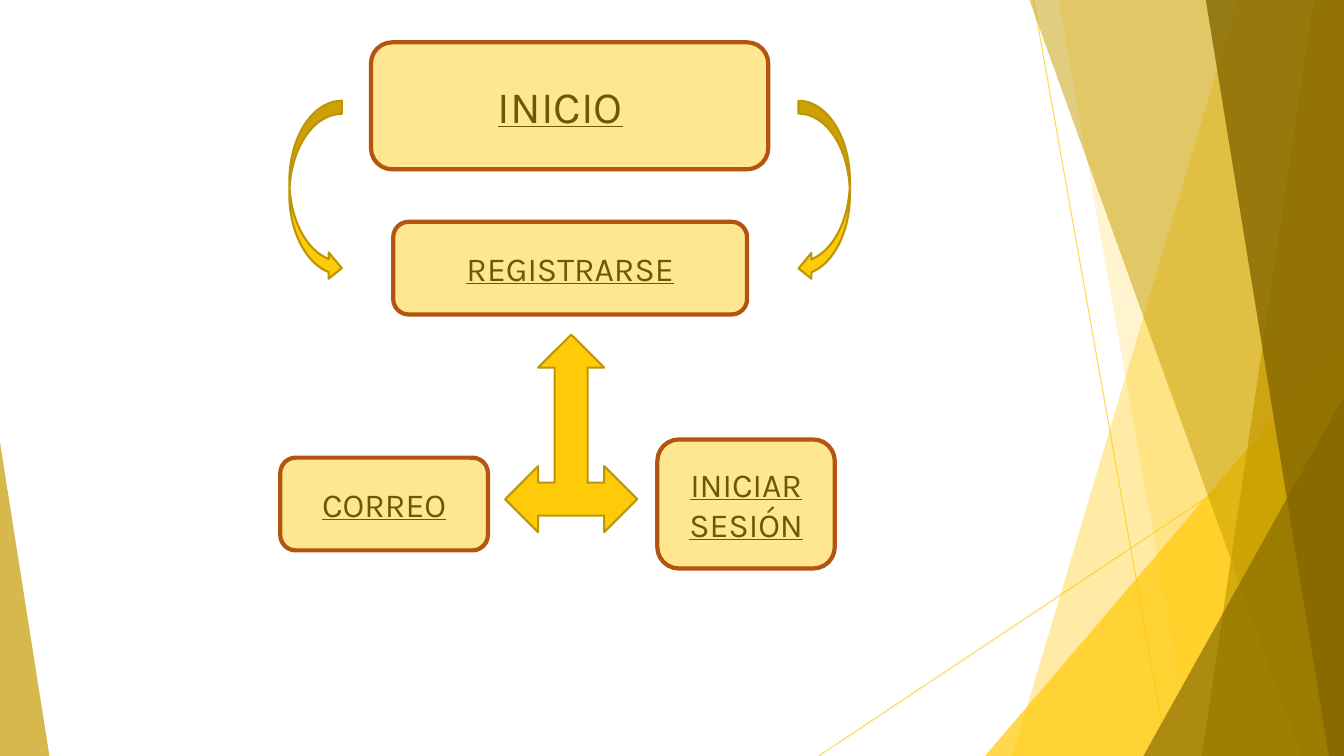
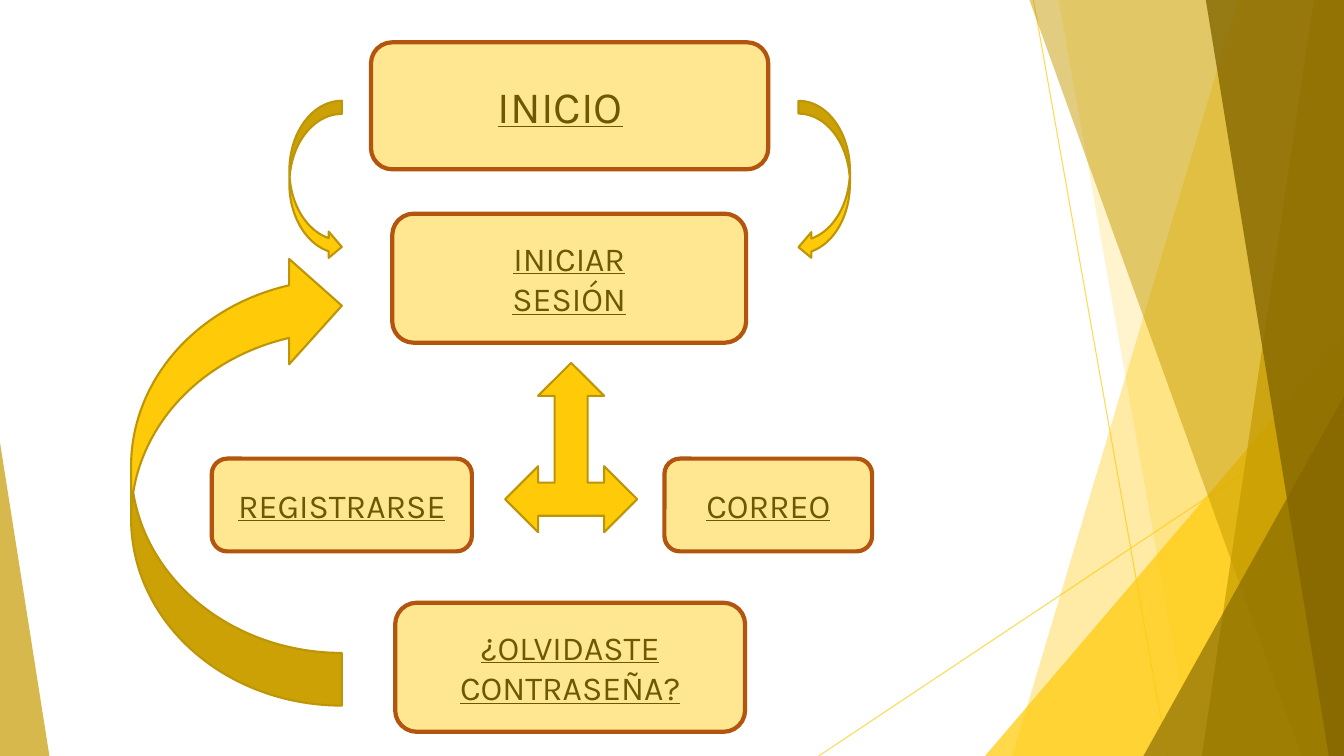
import pptx
import pptx.util
import pptx.dml.color
import pptx.enum.shapes
import pptx.enum.text
import pptx.oxml.ns
import lxml.etree

GOLD, OCHRE, BRONZE = "FFCA08", "C59B00", "846700"
RUST, ARROW_EDGE, INK = "B3540F", "BD9506", "000000"
SHAPES = pptx.enum.shapes.MSO_SHAPE
ALIGN = pptx.enum.text.PP_ALIGN
qn = pptx.oxml.ns.qn

deck = pptx.Presentation()
deck.slide_width = pptx.util.Inches(13.33)
deck.slide_height = pptx.util.Inches(7.5)
COLUMN = deck.slide_width / 133.3
ROW = deck.slide_height / 75
RIGHT, BOTTOM = 133.3, 75


def cells(*lengths):
    return [round(length * (ROW if i % 2 else COLUMN)) for i, length in enumerate(lengths)]


def paint(shape, fill=None, edge=None, width=0, opacity=100):
    properties = shape.element.spPr
    if fill:
        shape.shadow.inherit = False
        shape.fill.solid()
        shape.fill.fore_color.rgb = pptx.dml.color.RGBColor.from_string(fill)
    if edge:
        shape.line.color.rgb = pptx.dml.color.RGBColor.from_string(edge)
        shape.line.width = pptx.util.Pt(width)
    else:
        shape.line.fill.background()
    if not fill:
        lxml.etree.SubElement(properties, qn("a:effectLst"))
    if opacity < 100:
        colour = next(properties.iter(qn("a:srgbClr")))
        lxml.etree.SubElement(colour, qn("a:alpha")).set("val", str(opacity * 1000))


layout = deck.slide_layouts[6]
for placeholder in list(layout.placeholders):
    layout.shapes.element.remove(placeholder.element)
slides = [deck.slides.add_slide(layout) for _ in range(2)]
backdrop = slides[0].shapes

for ray in [(102.5, 0, 115.8, BOTTOM), (RIGHT, 40.3, 81.2, BOTTOM)]:
    beam = backdrop.add_connector(pptx.enum.shapes.MSO_CONNECTOR.STRAIGHT, *cells(*ray))
    paint(beam, edge=GOLD, width=0.75, opacity=70)

facets = [
    ("band", 122.8, 100.4, GOLD, 36),
    ("band", 105, 118.3, GOLD, 20),
    ("corner", 97.7, 33.3, GOLD, 72),
    ("band", 102.1, 129.1, OCHRE, 50),
    ("band", 130.3, 119.2, OCHRE, 70),
    ("band", 119.6, 131.8, BRONZE, 80),
    ("corner", 113.4, 39.3, BRONZE, 66),
]
for kind, first, second, colour, opacity in facets:
    if kind == "band":
        outline = backdrop.build_freeform(*cells(first, 0), scale=1.0)
        outline.add_line_segments(
            [cells(RIGHT, 0), cells(RIGHT, BOTTOM), cells(second, BOTTOM)], close=True)
        facet = outline.convert_to_shape()
    else:
        facet = backdrop.add_shape(
            SHAPES.ISOSCELES_TRIANGLE, *cells(first, second, RIGHT - first, BOTTOM - second))
        facet.adjustments[0] = 1
    paint(facet, colour, opacity=opacity)

left_wedge = backdrop.add_shape(SHAPES.ISOSCELES_TRIANGLE, *cells(0, 43.9, 4.9, 31.1))
left_wedge.adjustments[0] = 0
paint(left_wedge, OCHRE, opacity=70)

for part in list(backdrop):
    layout.shapes.element.append(part.element)

start = ("INICIO", 32, ALIGN.LEFT, 16.2, (36.8, 4.2, 39.4, 12.6))
cards = [
    [
        start,
        ("REGISTRARSE", 24, ALIGN.CENTER, 24, (39, 22, 35.1, 9.2)),
        ("CORREO", 24, ALIGN.CENTER, 16.2, (27.8, 45.4, 20.6, 9.2)),
        ("INICIAR SESIÓN", 24, ALIGN.CENTER, 16.2, (65.2, 43.6, 17.6, 12.8)),
    ],
    [
        start,
        ("INICIAR SESIÓN", 24, ALIGN.CENTER, 16.2, (38.9, 21.2, 35.1, 12.8)),
        ("REGISTRARSE", 24, ALIGN.CENTER, 24, (21, 45.5, 25.8, 9.2)),
        ("CORREO", 24, ALIGN.CENTER, 16.2, (65.9, 45.5, 20.6, 9.2)),
        ("¿OLVIDASTE CONTRASEÑA?", 24, ALIGN.CENTER, 25.6, (39.2, 59.8, 34.7, 12.8)),
    ],
]
side_heights = [17.9, 15.8]
fork_tops = [33.2, 36]
fork_bottom = 52.8

for slide, steps, side_height, fork_top in zip(slides, cards, side_heights, fork_tops):
    for wording, size, alignment, label_width, (left, top, width, height) in steps:
        label = slide.shapes.add_textbox(
            *cells(left + (width - label_width) / 2, top, label_width, height))
        frame = label.text_frame
        frame.word_wrap = True
        frame.vertical_anchor = pptx.enum.text.MSO_ANCHOR.MIDDLE
        paragraph = frame.paragraphs[0]
        paragraph.alignment = alignment
        run = paragraph.add_run()
        run.text = wording
        run.font.name = "Karla"
        run.font.size = pptx.util.Pt(size)
        run.font.underline = True
        run.font.color.rgb = pptx.dml.color.RGBColor.from_string(INK)
        card = slide.shapes.add_shape(SHAPES.ROUNDED_RECTANGLE, *cells(left, top, width, height))
        paint(card, GOLD, RUST, 3, 44)

    for direction, place in [
        (SHAPES.CURVED_LEFT_ARROW, (79.2, 10, 5.1, side_height)),
        (SHAPES.CURVED_RIGHT_ARROW, (28.7, 10, 5.2, side_height)),
        (SHAPES.LEFT_RIGHT_UP_ARROW, (50.1, fork_top, 13.1, fork_bottom - fork_top)),
    ]:
        paint(slide.shapes.add_shape(direction, *cells(*place)), GOLD, ARROW_EDGE, 1.5)

recovery = slides[1].shapes.add_shape(SHAPES.CURVED_RIGHT_ARROW, *cells(13, 25.1, 20.9, 44.9))
recovery.rotation = 180
recovery.element.spPr.xfrm.set("flipH", "1")
paint(recovery, GOLD, ARROW_EDGE, 1.5)

deck.save("out.pptx")
